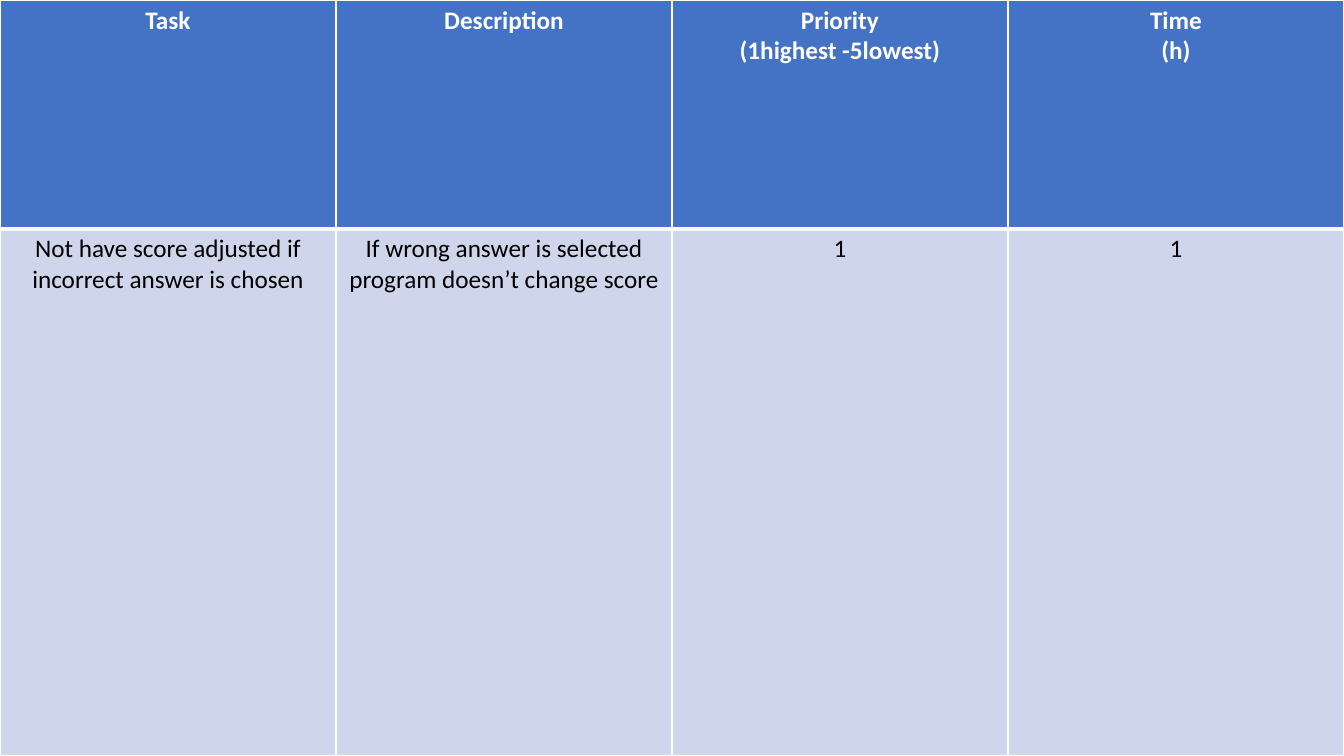
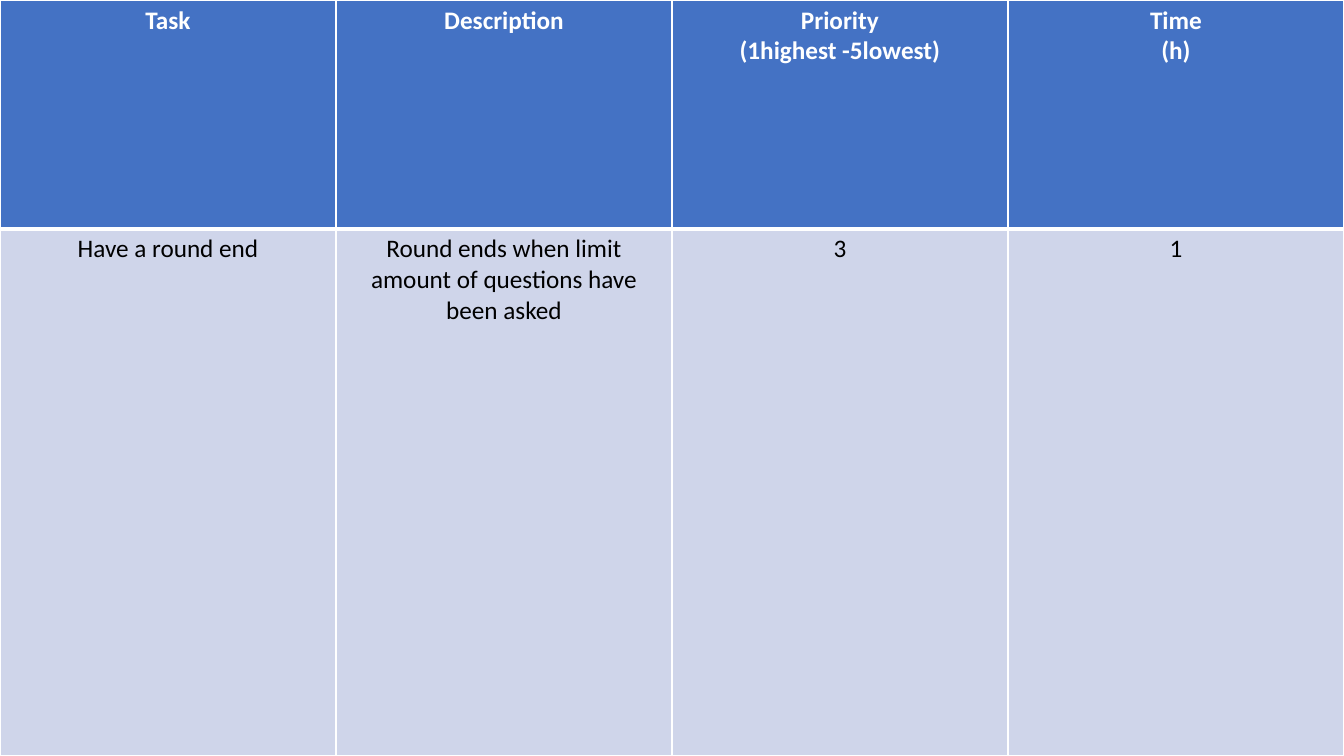
from lxml import etree
from pptx import Presentation
from pptx import util as u
from pptx.dml import color
from pptx.enum import text
from pptx.oxml import ns

WIDTH, HEIGHT = u.Inches(13.33), u.Inches(7.5)
HEADER_SHARE = 0.3027
WHITE = "FFFFFF"
THIN, THICK = 1, 3

HEADINGS = ["Task", "Description", "Priority\n(1highest -5lowest)", "Time\n(h)"]
TASKS = [
    ["Not have score adjusted if incorrect answer is chosen",
     "If wrong answer is selected program doesn’t change score", "1", "1"],
    ["Have a round end",
     "Round ends when limit amount of questions have been asked", "3", "1"],
]

HEADER_STYLE = {"fill": "4472C4", "color": WHITE, "bold": True,
                "borders": {"L": THIN, "R": THIN, "T": THIN, "B": THICK}}
BODY_STYLE = {"fill": "CFD5EA", "color": "000000", "bold": False,
              "borders": {"L": THIN, "R": THIN, "T": THICK, "B": THIN}}


def rgb(value):
    return color.RGBColor.from_string(value)


def set_borders(cell, borders):
    tc_pr = cell._tc.get_or_add_tcPr()
    for position, (side, width) in enumerate(borders.items()):
        ln = etree.Element(ns.qn(f"a:ln{side}"), w=str(u.Pt(width)))
        fill = etree.SubElement(ln, ns.qn("a:solidFill"))
        etree.SubElement(fill, ns.qn("a:srgbClr"), val=WHITE)
        tc_pr.insert(position, ln)


def format_cell(cell, content, style):
    cell.text = content
    cell.fill.solid()
    cell.fill.fore_color.rgb = rgb(style["fill"])
    set_borders(cell, style["borders"])
    font_values = {"name": "Calibri", "size": u.Pt(18), "bold": style["bold"]}
    for p in cell.text_frame.paragraphs:
        p.alignment = text.PP_ALIGN.CENTER
        for r in p.runs:
            for name, value in font_values.items():
                setattr(r.font, name, value)
            r.font.color.rgb = rgb(style["color"])


def add_task_table(slide, task):
    rows = [(HEADINGS, HEADER_STYLE), (task, BODY_STYLE)]
    table = slide.shapes.add_table(
        len(rows), len(HEADINGS), 0, 0, WIDTH, HEIGHT).table
    for column in table.columns:
        column.width = WIDTH // len(HEADINGS)
    for row, share in zip(table.rows, (HEADER_SHARE, 1 - HEADER_SHARE)):
        row.height = int(HEIGHT * share)
    for row, (contents, style) in zip(table.rows, rows):
        for cell, content in zip(row.cells, contents):
            format_cell(cell, content, style)


def main():
    prs = Presentation()
    prs.slide_width, prs.slide_height = WIDTH, HEIGHT
    for task in TASKS:
        add_task_table(prs.slides.add_slide(prs.slide_layouts[6]), task)
    prs.save("out.pptx")


if __name__ == "__main__":
    main()
